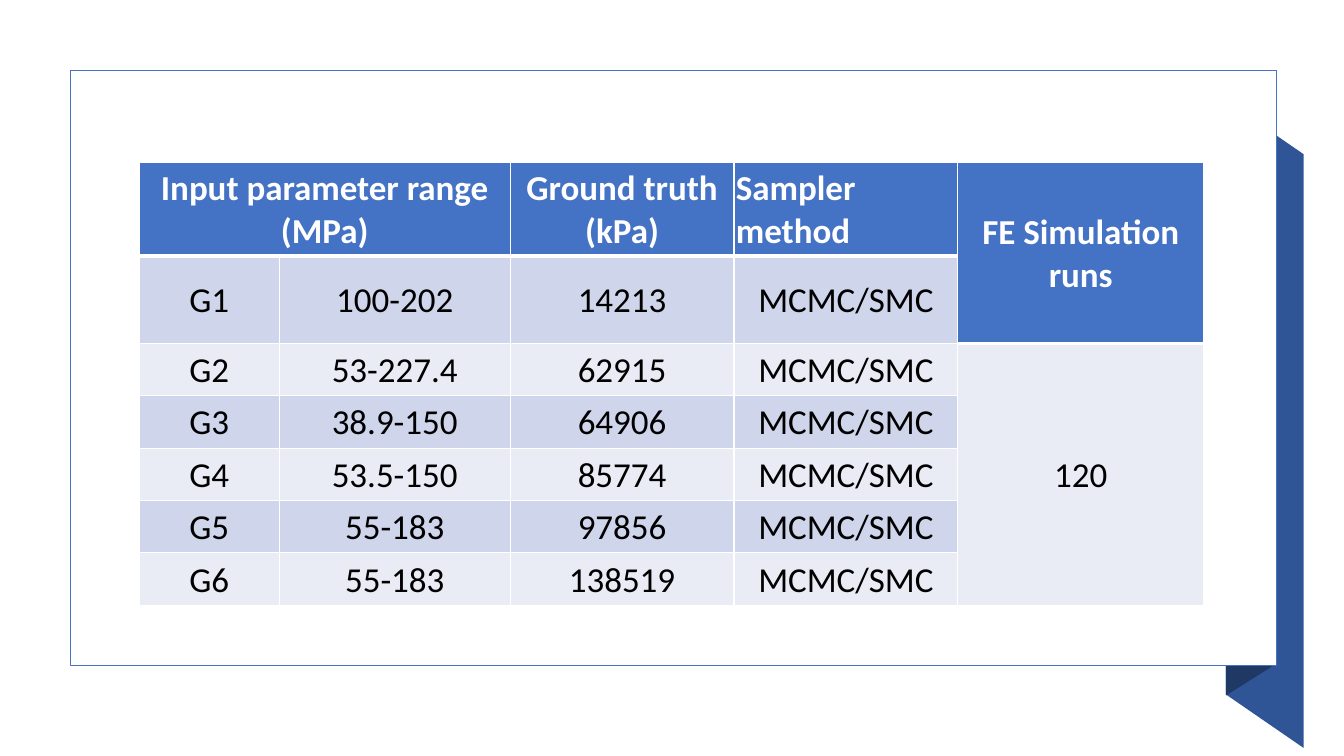
"""Build a slide with a table of material parameters on a framed panel with a folded ribbon."""
import pptx
import pptx.dml.color
import pptx.enum.shapes
import pptx.enum.text
import pptx.oxml
import pptx.oxml.ns
import pptx.util

Inches = pptx.util.Inches
Pt = pptx.util.Pt

COLOURS = {
    "ribbon": "2F5597",
    "fold": "203864",
    "accent": "4472C4",
    "white": "FFFFFF",
    "text": "000000",
    "dark band": "CFD5EA",
    "light band": "E9EBF5",
}
FONT = "Calibri"
HEADINGS = ["Input parameter range (MPa)", "", "Ground truth (kPa)",
            "Sampler method", "FE Simulation runs"]
PARAMETERS = [
    ("G1", "100-202", "14213"),
    ("G2", "53-227.4", "62915"),
    ("G3", "38.9-150", "64906"),
    ("G4", "53.5-150", "85774"),
    ("G5", "55-183", "97856"),
    ("G6", "55-183", "138519"),
]
SAMPLER = "MCMC/SMC"
RUNS = "120"
COLUMN_WIDTHS = [1.39, 2.29, 2.22, 2.22, 2.44]
ROW_HEIGHTS = [0.93, 0.86] + [0.52] * 5
SAMPLER_COLUMN, RUNS_COLUMN = 3, 4
RUNS_ROW = 2


def rgb(name):
    return pptx.dml.color.RGBColor.from_string(COLOURS[name])


def add_ribbon_face(slide, corners, colour):
    points = [(Inches(x), Inches(y)) for x, y in corners]
    builder = slide.shapes.build_freeform(*points[0], scale=1.0)
    builder.add_line_segments(points[1:], close=True)
    face = builder.convert_to_shape()
    face.shadow.inherit = False
    face.fill.solid()
    face.fill.fore_color.rgb = rgb(colour)
    face.line.fill.background()


def add_panel(slide):
    panel = slide.shapes.add_shape(
        pptx.enum.shapes.MSO_SHAPE.RECTANGLE,
        Inches(0.7), Inches(0.7), Inches(11.96), Inches(5.9))
    panel.shadow.inherit = False
    panel.fill.solid()
    panel.fill.fore_color.rgb = rgb("white")
    panel.line.color.rgb = rgb("accent")
    panel.line.width = Pt(1)


def is_heading(row, column):
    return row == 0 or (column == RUNS_COLUMN and row < RUNS_ROW)


def add_borders(cell, widths):
    properties = cell._tc.get_or_add_tcPr()
    for side, width in zip("LRTB", widths):
        properties.append(pptx.oxml.parse_xml(
            f'<a:ln{side} {pptx.oxml.ns.nsdecls("a")} w="{Pt(width)}">'
            f'<a:solidFill><a:srgbClr val="{COLOURS["white"]}"/></a:solidFill>'
            f'</a:ln{side}>'))


def format_cell(cell, row, column, text):
    heading = is_heading(row, column)
    below_heading = not heading and is_heading(row - 1, column)
    add_borders(cell, [1, 1, 3 if below_heading else 1, 3 if heading else 1])
    band = "dark band" if row % 2 else "light band"
    cell.fill.solid()
    cell.fill.fore_color.rgb = rgb("accent" if heading else band)
    cell.margin_left = cell.margin_right = cell.margin_top = Inches(0.02)
    cell.margin_bottom = 0
    cell.vertical_anchor = pptx.enum.text.MSO_ANCHOR.MIDDLE
    cell.text_frame.text = text
    paragraph = cell.text_frame.paragraphs[0]
    left_aligned = row == 0 and column == SAMPLER_COLUMN
    alignments = pptx.enum.text.PP_ALIGN
    paragraph.alignment = alignments.LEFT if left_aligned else alignments.CENTER
    for run in paragraph.runs:
        run.font.name = FONT
        run.font.size = Pt(25)
        run.font.bold = heading
        run.font.color.rgb = rgb("white" if heading else "text")


def add_parameter_table(slide):
    rows = [HEADINGS]
    for row, values in enumerate(PARAMETERS, start=1):
        rows.append([*values, SAMPLER, RUNS if row == RUNS_ROW else ""])
    table = slide.shapes.add_table(
        len(rows), len(HEADINGS), Inches(1.38), Inches(1.61),
        Inches(sum(COLUMN_WIDTHS)), Inches(sum(ROW_HEIGHTS))).table
    for column, width in zip(table.columns, COLUMN_WIDTHS):
        column.width = Inches(width)
    for table_row, height in zip(table.rows, ROW_HEIGHTS):
        table_row.height = Inches(height)
    for row, texts in enumerate(rows):
        for column, text in enumerate(texts):
            format_cell(table.cell(row, column), row, column, text)
    table.cell(0, 0).merge(table.cell(0, 1))
    table.cell(0, RUNS_COLUMN).merge(table.cell(RUNS_ROW - 1, RUNS_COLUMN))
    table.cell(RUNS_ROW, RUNS_COLUMN).merge(table.cell(len(rows) - 1, RUNS_COLUMN))


def main():
    presentation = pptx.Presentation()
    presentation.slide_width = Inches(13.33)
    presentation.slide_height = Inches(7.5)
    slide = presentation.slides.add_slide(presentation.slide_layouts[6])
    add_ribbon_face(slide, [(12.93, 7.42), (12.16, 6.89), (12.16, 1), (12.93, 1.53)], "ribbon")
    add_ribbon_face(slide, [(12.62, 6.61), (12.16, 6.9), (12.16, 1), (12.62, 0.7)], "fold")
    add_panel(slide)
    add_parameter_table(slide)
    presentation.save("out.pptx")


if __name__ == "__main__":
    main()
